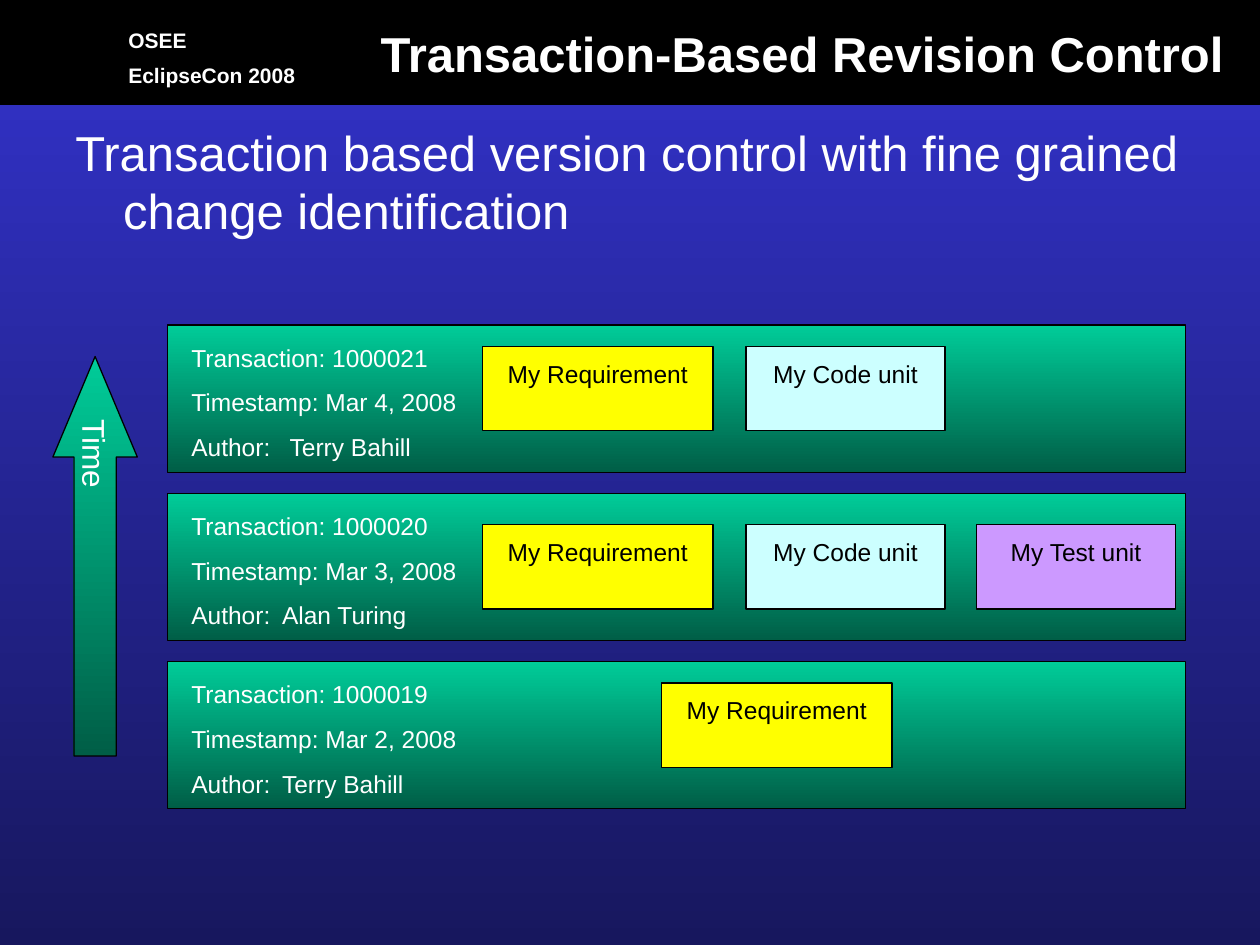
from dataclasses import dataclass

from lxml import etree
from pptx import Presentation
from pptx.dml.color import RGBColor
from pptx.enum.shapes import MSO_SHAPE
from pptx.enum.text import MSO_ANCHOR, MSO_AUTO_SIZE, PP_ALIGN
from pptx.oxml.ns import qn
from pptx.util import Inches, Pt

RECT, UP_ARROW = MSO_SHAPE.RECTANGLE, MSO_SHAPE.UP_ARROW
TOP, MIDDLE = MSO_ANCHOR.TOP, MSO_ANCHOR.MIDDLE
LEFT, CENTER, RIGHT = PP_ALIGN.LEFT, PP_ALIGN.CENTER, PP_ALIGN.RIGHT
NO_FIT = MSO_AUTO_SIZE.NONE


@dataclass(frozen=True)
class Theme:
    font: str = "Arial"
    white: str = "FFFFFF"
    black: str = "000000"
    background: tuple[str, str] = ("3333CC", "17175E")
    green: tuple[str, str] = ("00CC99", "005E46")
    yellow: str = "FFFF00"
    cyan: str = "CCFFFF"
    purple: str = "CC99FF"
    heading: int = 28
    time: int = 18
    body: int = 14
    event: int = 12
    line: float = 0.75


@dataclass(frozen=True)
class Artifact:
    name: str
    left: float
    width: float
    fill: str


@dataclass(frozen=True)
class Transaction:
    number: str
    date: str
    author: str
    author_tab: float
    artifact_offset: float
    artifacts: tuple[Artifact, ...]


THEME = Theme()
REQUIREMENT = Artifact("My Requirement", 3.83, 1.83, THEME.yellow)
FIRST_REQUIREMENT = Artifact("My Requirement", 5.25, 1.83, THEME.yellow)
CODE = Artifact("My Code unit", 5.92, 1.58, THEME.cyan)
TEST = Artifact("My Test unit", 7.75, 1.58, THEME.purple)
TRANSACTIONS = (
    Transaction("1000021", "Mar 4, 2008", "Terry Bahill", 0.78, 0.17, (REQUIREMENT, CODE)),
    Transaction("1000020", "Mar 3, 2008", "Alan Turing", 0.72, 0.25, (REQUIREMENT, CODE, TEST)),
    Transaction("1000019", "Mar 2, 2008", "Terry Bahill", 0.72, 0.17, (FIRST_REQUIREMENT,)),
)
ROW_TOP, ROW_PITCH = 2.58, 1.335


def set_all(target, values: dict) -> None:
    for name, value in values.items():
        setattr(target, name, value)


def set_gradient(fill, colors: tuple[str, str]) -> None:
    fill.gradient()
    fill.gradient_angle = 270
    for stop, color in zip(fill.gradient_stops, colors):
        stop.color.rgb = RGBColor.from_string(color)


def add_block(s, kind, box: tuple, fill: str | tuple[str, str]):
    sp = s.shapes.add_shape(kind, *map(Inches, box))
    sp.shadow.inherit = False
    if isinstance(fill, tuple):
        set_gradient(sp.fill, fill)
    else:
        sp.fill.solid()
        sp.fill.fore_color.rgb = RGBColor.from_string(fill)
    sp.line.color.rgb = RGBColor.from_string(THEME.black)
    sp.line.width = Pt(THEME.line)
    return sp


def write(sp, lines: list[str], size: int, color: str = THEME.white, bold: bool = False,
          align=LEFT, anchor=TOP, wrap: bool = False, before: float = 0,
          insets: tuple = (0.1, 0.05, 0.1, 0.05)) -> None:
    tf = sp.text_frame
    sides = ("margin_left", "margin_top", "margin_right", "margin_bottom")
    set_all(tf, {"auto_size": NO_FIT, "word_wrap": wrap, "vertical_anchor": anchor,
                 **dict(zip(sides, map(Inches, insets)))})
    for i, line in enumerate(lines):
        p = tf.paragraphs[0] if i == 0 else tf.add_paragraph()
        set_all(p, {"alignment": align, "space_before": Pt(before if i else 0)})
        r = p.add_run()
        r.text = line
        set_all(r.font, {"name": THEME.font, "size": Pt(size), "bold": bold})
        r.font.color.rgb = RGBColor.from_string(color)


def add_text(s, box: tuple, lines: list[str], size: int, **style):
    sp = s.shapes.add_textbox(*map(Inches, box))
    write(sp, lines, size, **style)
    return sp


def add_tab(p, position: float) -> None:
    tabs = etree.SubElement(p._p.get_or_add_pPr(), qn("a:tabLst"))
    etree.SubElement(tabs, qn("a:tab"), pos=str(Inches(position)), algn="l")


def add_transaction(s, top: float, item: Transaction) -> None:
    add_block(s, RECT, (1.33, top, 8.08, 1.17), THEME.green)
    lines = [f"Transaction: {item.number}", f"Timestamp: {item.date}", f"Author:\t{item.author}"]
    sp = add_text(s, (1.42, top + 0.09, 2.42, 1.05), lines, THEME.body, wrap=True, before=8.8)
    add_tab(sp.text_frame.paragraphs[-1], item.author_tab)
    for artifact in item.artifacts:
        box = (artifact.left, top + item.artifact_offset, artifact.width, 0.67)
        sp = add_block(s, RECT, box, artifact.fill)
        write(sp, [artifact.name], THEME.body, THEME.black, align=CENTER,
              insets=(0.1, 0.1, 0.1, 0.05))


def add_header(s) -> None:
    add_block(s, RECT, (0, 0, 10, 0.83), THEME.black)
    for top, width, text in ((0.17, 0.66, "OSEE"), (0.45, 1.52, "EclipseCon 2008")):
        add_text(s, (0.92, top, width, 0.3), [text], THEME.event, bold=True)
    title = s.shapes.title
    place = map(Inches, (2.9, 0.14, 6.91, 0.57))
    set_all(title, dict(zip(("left", "top", "width", "height"), place)))
    write(title, ["Transaction-Based Revision Control"], THEME.heading, bold=True, align=RIGHT)
    s.shapes._spTree.append(title._element)


def add_statement(s) -> None:
    text = "Transaction based version control with fine grained change identification"
    sp = add_text(s, (0.5, 0.92, 9, 6.17), [text], THEME.heading, wrap=True)
    pPr = sp.text_frame.paragraphs[0]._p.get_or_add_pPr()
    pPr.set("marL", str(Inches(0.38)))
    pPr.set("indent", str(Inches(-0.38)))


def add_time_arrow(s) -> None:
    sp = add_block(s, UP_ARROW, (0.42, 2.83, 0.67, 3.17), THEME.green)
    sp.adjustments[0], sp.adjustments[1] = 0.5, 1.19
    write(sp, ["Time"], THEME.time, align=CENTER, anchor=MIDDLE, insets=(0.05, 0.1, 0.05, 0.1))
    sp._element.txBody.find(qn("a:bodyPr")).set("vert", "eaVert")


def main() -> None:
    prs = Presentation()
    set_all(prs, {"slide_width": Inches(10), "slide_height": Inches(7.5)})
    s = prs.slides.add_slide(prs.slide_layouts[5])
    set_gradient(s.background.fill, THEME.background)
    add_header(s)
    add_statement(s)
    for i, item in enumerate(TRANSACTIONS):
        add_transaction(s, ROW_TOP + i * ROW_PITCH, item)
    add_time_arrow(s)
    prs.save("out.pptx")


if __name__ == "__main__":
    main()
